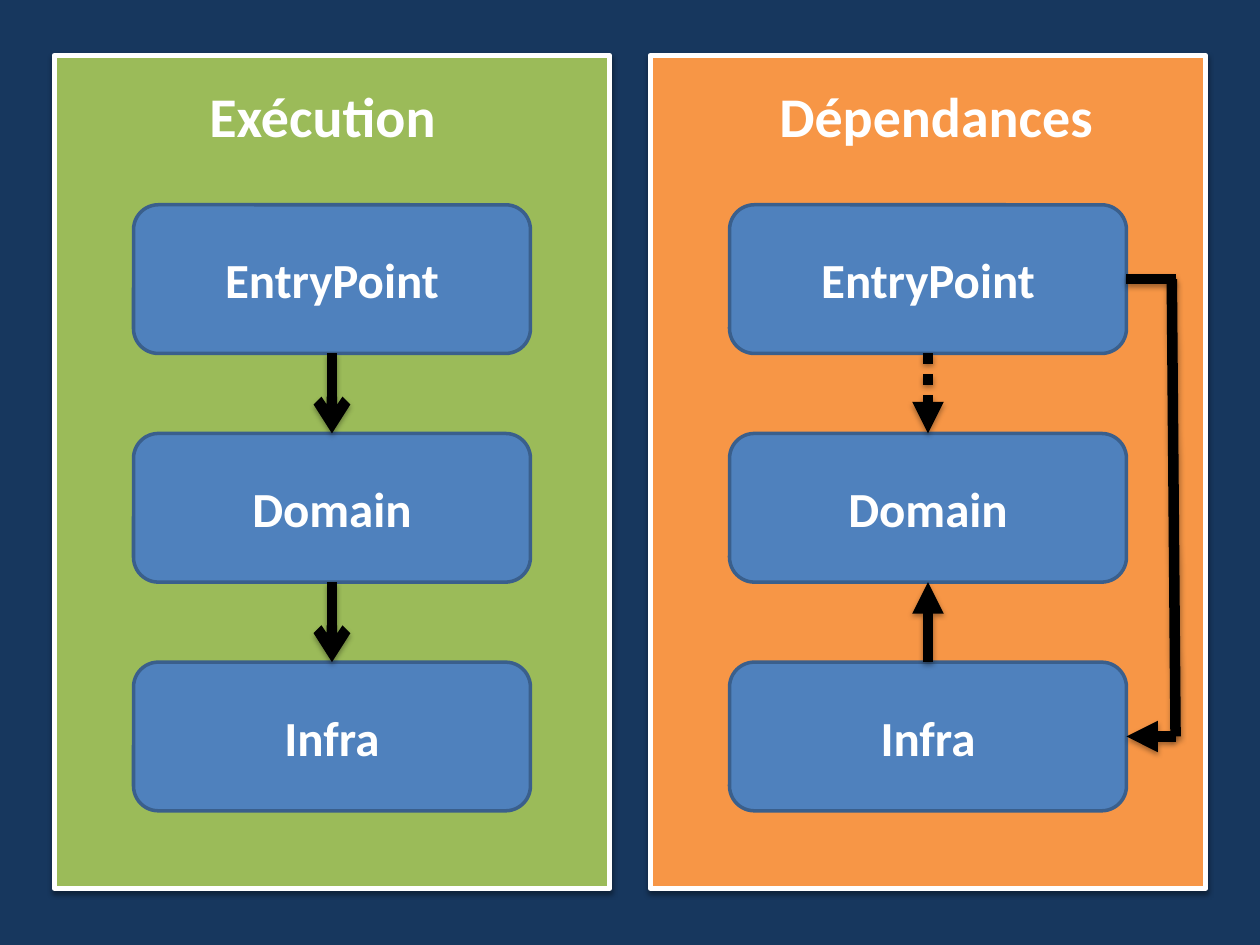
from lxml import etree
from pptx import Presentation, util as u
from pptx.dml.color import RGBColor
from pptx.enum import dml, shapes, text
from pptx.oxml.ns import qn

# Content: title, title left, panel left, panel fill
PANELS = [("Exécution", 0.35, 0.43, "9BBB59"),
          ("Dépendances", 5.22, 5.16, "F79646")]
LAYERS = ["EntryPoint", "Domain", "Infra"]

# Layout in inches
TOP, WIDE, HIGH = 0.44, 4.41, 6.61
BOX_W, BOX_H, BOX_TOP, STEP = 3.15, 1.18, 1.625, 1.815
INSET = (WIDE - BOX_W) / 2
tops = [BOX_TOP + i * STEP for i in range(len(LAYERS))]
ends = [y + BOX_H for y in tops]
mids = [y + BOX_H / 2 for y in tops]
axes = [left + WIDE / 2 for _, _, left, _ in PANELS]
side = PANELS[1][2] + INSET + BOX_W
BEND = 9.33

# Arrows: from, to, head, dotted
ARROWS = [((axes[0], ends[i]), (axes[0], tops[i + 1]), "arrow", False)
          for i in range(2)]
ARROWS += [
    ((axes[1], ends[0]), (axes[1], tops[1]), "triangle", True),
    ((axes[1], tops[2]), (axes[1], ends[1]), "triangle", False),
    ((BEND, mids[2]), (side, mids[2]), "triangle", False),
    ((BEND, mids[0]), (side, mids[0]), None, False),
    ((BEND, mids[2]), (9.3, mids[0]), None, False),
]

prs = Presentation()
prs.slide_width, prs.slide_height = u.Inches(10), u.Inches(7.5)
slide = prs.slides.add_slide(prs.slide_layouts[6])


def paint(fill, color):
    fill.solid()
    fill.fore_color.rgb = RGBColor.from_string(color)


def stroke(line, color, width):
    paint(line.fill, color)
    line.width = u.Pt(width)


def shade(part, alpha, dist):
    """Add a soft black shadow straight below a part."""
    props = part._element.spPr
    fx = etree.SubElement(props, qn("a:effectLst"))
    drop = etree.SubElement(fx, qn("a:outerShdw"), blurRad=str(u.Pt(3.1)),
                            dist=str(u.Pt(dist)), dir="5400000", rotWithShape="0")
    tint = etree.SubElement(drop, qn("a:srgbClr"), val="000000")
    etree.SubElement(tint, qn("a:alpha"), val=str(alpha * 1000))


def block(kind, place, fill, edge, width):
    part = slide.shapes.add_shape(kind, *map(u.Inches, place))
    paint(part.fill, fill)
    stroke(part.line, edge, width)
    return part


def write(part, words, size, anchor):
    frame = part.text_frame
    frame.word_wrap = True
    frame.vertical_anchor = anchor
    para = frame.paragraphs[0]
    para.text = words
    para.alignment = text.PP_ALIGN.CENTER
    font = para.font
    font.name, font.size, font.bold = "Calibri", u.Pt(size), True
    font.color.rgb = RGBColor.from_string("FFFFFF")


def arrow(start, end, head, dotted):
    link = slide.shapes.add_connector(shapes.MSO_CONNECTOR.STRAIGHT,
                                      *map(u.Inches, start + end))
    stroke(link.line, "000000", 6)
    if dotted:
        link.line.dash_style = dml.MSO_LINE.ROUND_DOT
    if head:
        etree.SubElement(link.line._get_or_add_ln(), qn("a:tailEnd"), type=head)
    shade(link, 35, 1.8)


paint(slide.background.fill, "17375E")

# Panels with their titles and layer boxes
for title, title_x, left, fill in PANELS:
    panel = block(shapes.MSO_SHAPE.RECTANGLE, (left, TOP, WIDE, HIGH),
                  fill, "FFFFFF", 3)
    shade(panel, 38, 1.6)
    label = slide.shapes.add_textbox(*map(u.Inches, (title_x, 0.53, 4.42, 0.7)))
    write(label, title, 32, text.MSO_ANCHOR.BOTTOM)
    for name, y in zip(LAYERS, tops):
        box = block(shapes.MSO_SHAPE.ROUNDED_RECTANGLE,
                    (left + INSET, y, BOX_W, BOX_H), "4F81BD", "3A5F8C", 2)
        box.shadow.inherit = False
        write(box, name, 28, text.MSO_ANCHOR.MIDDLE)

# Arrows on top
for item in ARROWS:
    arrow(*item)

prs.save("out.pptx")
